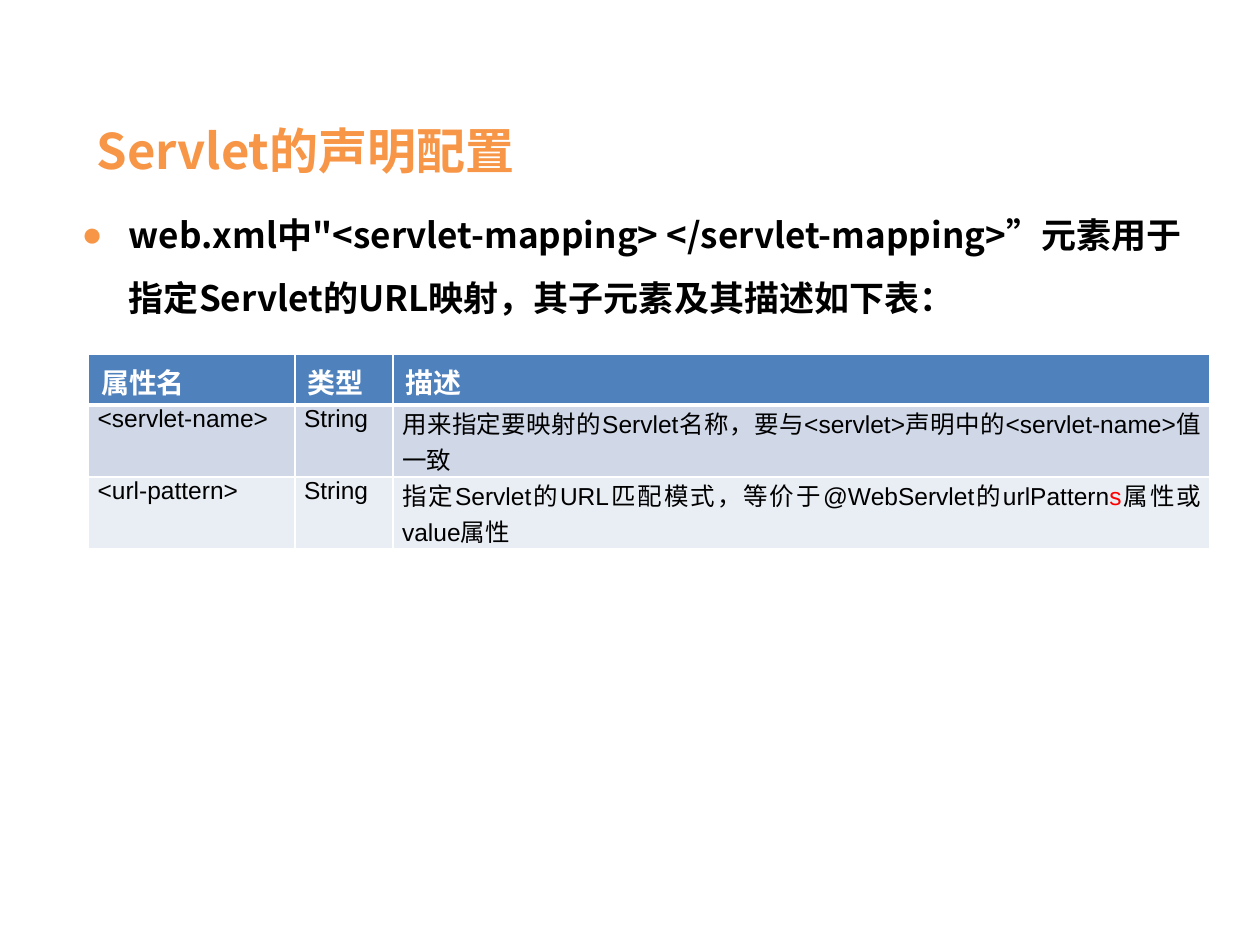
from dataclasses import dataclass

from lxml.etree import SubElement
from pptx import Presentation
from pptx.dml.color import RGBColor as Rgb
from pptx.enum.text import MSO_ANCHOR as Anchor, PP_ALIGN as Align
from pptx.oxml.ns import qn
from pptx.util import Pt


@dataclass(frozen=True)
class Theme:
    heading_font: str = "Noto Sans CJK SC"
    table_font: str = "Arial"
    accent: str = "F79646"
    black: str = "000000"
    white: str = "FFFFFF"
    red: str = "FF0000"
    header_fill: str = "4F81BD"
    band_fills: tuple = ("D0D8E8", "E9EDF4")
    title_size: int = 28
    body_size: int = 20
    header_size: int = 16
    cell_size: int = 14


THEME = Theme()

HEADERS = ["属性名", "类型", "描述"]
ROWS = [
    ["<servlet-name>", "String",
     "用来指定要映射的Servlet名称，要与<servlet>声明中的<servlet-name>值一致"],
    ["<url-pattern>", "String",
     [("指定Servlet的URL匹配模式，等价于@WebServlet的urlPattern", THEME.black),
      ("s", THEME.red),
      ("属性或value属性", THEME.black)]],
]
COLUMN_WIDTHS = [118, 56, 467]
ROW_HEIGHTS = [29, 41, 41]


def add_span(para, text, size, color, font, bold=False):
    span = para.add_run()
    span.text = text
    span.font.size = Pt(size)
    span.font.bold = bold
    span.font.name = font
    span.font.color.rgb = Rgb.from_string(color)
    east_asian = SubElement(span.font._element, qn("a:ea"))
    east_asian.set("typeface", THEME.heading_font)


def add_bullet(para, indent, color):
    """Give the paragraph a round bullet with a hanging indent."""
    properties = para._p.get_or_add_pPr()
    properties.set("marL", str(Pt(indent)))
    properties.set("indent", str(-Pt(indent)))
    bullet_color = SubElement(properties, qn("a:buClr"))
    SubElement(bullet_color, qn("a:srgbClr")).set("val", color)
    SubElement(properties, qn("a:buFont")).set("typeface", THEME.table_font)
    SubElement(properties, qn("a:buChar")).set("char", "●")


def add_title(page, text):
    title = page.shapes.title
    title.left, title.top, title.width, title.height = Pt(48), Pt(64), Pt(264), Pt(43)
    frame = title.text_frame
    frame.word_wrap = True
    frame.vertical_anchor = Anchor.MIDDLE
    para = frame.paragraphs[0]
    para.alignment = Align.LEFT
    add_span(para, text, THEME.title_size, THEME.accent, THEME.heading_font, bold=True)


def add_body(page, text):
    box = page.shapes.add_textbox(Pt(39.6), Pt(106.5), Pt(646.5), Pt(90))
    box.text_frame.word_wrap = True
    para = box.text_frame.paragraphs[0]
    para.line_spacing = 1.5
    add_bullet(para, 27, THEME.accent)
    add_span(para, text, THEME.body_size, THEME.black, THEME.heading_font, bold=True)


def set_borders(cell, top=1, bottom=1):
    properties = cell._tc.get_or_add_tcPr()
    for side, width in (("L", 1), ("R", 1), ("T", top), ("B", bottom)):
        line = SubElement(properties, qn(f"a:ln{side}"), w=str(Pt(width)))
        fill = SubElement(line, qn("a:solidFill"))
        SubElement(fill, qn("a:srgbClr")).set("val", THEME.white)


def set_fill(cell, color):
    cell.fill.solid()
    cell.fill.fore_color.rgb = Rgb.from_string(color)


def fill_header(cell, text):
    set_borders(cell, bottom=3)
    set_fill(cell, THEME.header_fill)
    add_span(cell.text_frame.paragraphs[0], text, THEME.header_size,
             THEME.white, THEME.table_font, bold=True)


def fill_cell(cell, content, color, top):
    """Write a body cell; content is a string or a list of (text, colour)."""
    set_borders(cell, top=top)
    set_fill(cell, color)
    cell.margin_left = cell.margin_right = Pt(5.2)
    cell.margin_top = cell.margin_bottom = Pt(0)
    para = cell.text_frame.paragraphs[0]
    para.alignment = Align.JUSTIFY
    spans = [(content, THEME.black)] if isinstance(content, str) else content
    for text, span_color in spans:
        add_span(para, text, THEME.cell_size, span_color, THEME.table_font)


def add_mapping_table(page):
    table = page.shapes.add_table(
        len(ROW_HEIGHTS), len(COLUMN_WIDTHS), Pt(50.6), Pt(202.5),
        Pt(sum(COLUMN_WIDTHS)), Pt(sum(ROW_HEIGHTS))).table
    for column, width in zip(table.columns, COLUMN_WIDTHS):
        column.width = Pt(width)
    for row, height in zip(table.rows, ROW_HEIGHTS):
        row.height = Pt(height)
    for index, text in enumerate(HEADERS):
        fill_header(table.cell(0, index), text)
    for row, (contents, color) in enumerate(zip(ROWS, THEME.band_fills), start=1):
        for index, content in enumerate(contents):
            fill_cell(table.cell(row, index), content, color, top=3 if row == 1 else 1)


def main():
    deck = Presentation()
    deck.slide_width, deck.slide_height = Pt(720), Pt(540)
    page = deck.slides.add_slide(deck.slide_layouts[5])
    add_body(page, 'web.xml中"<servlet-mapping> </servlet-mapping>”'
                   "元素用于指定Servlet的URL映射，其子元素及其描述如下表：")
    add_title(page, "Servlet的声明配置")
    add_mapping_table(page)
    deck.save("out.pptx")


if __name__ == "__main__":
    main()
